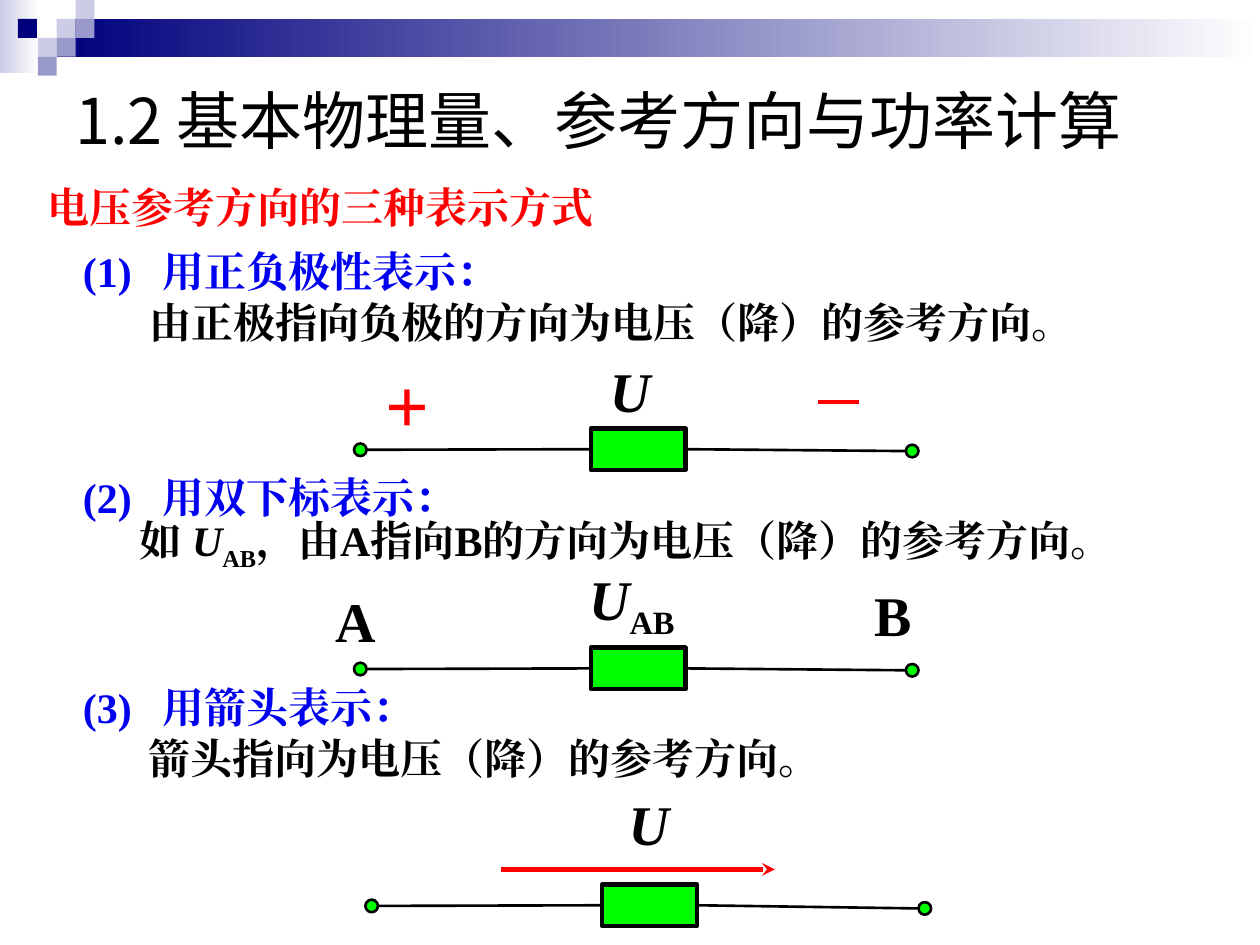
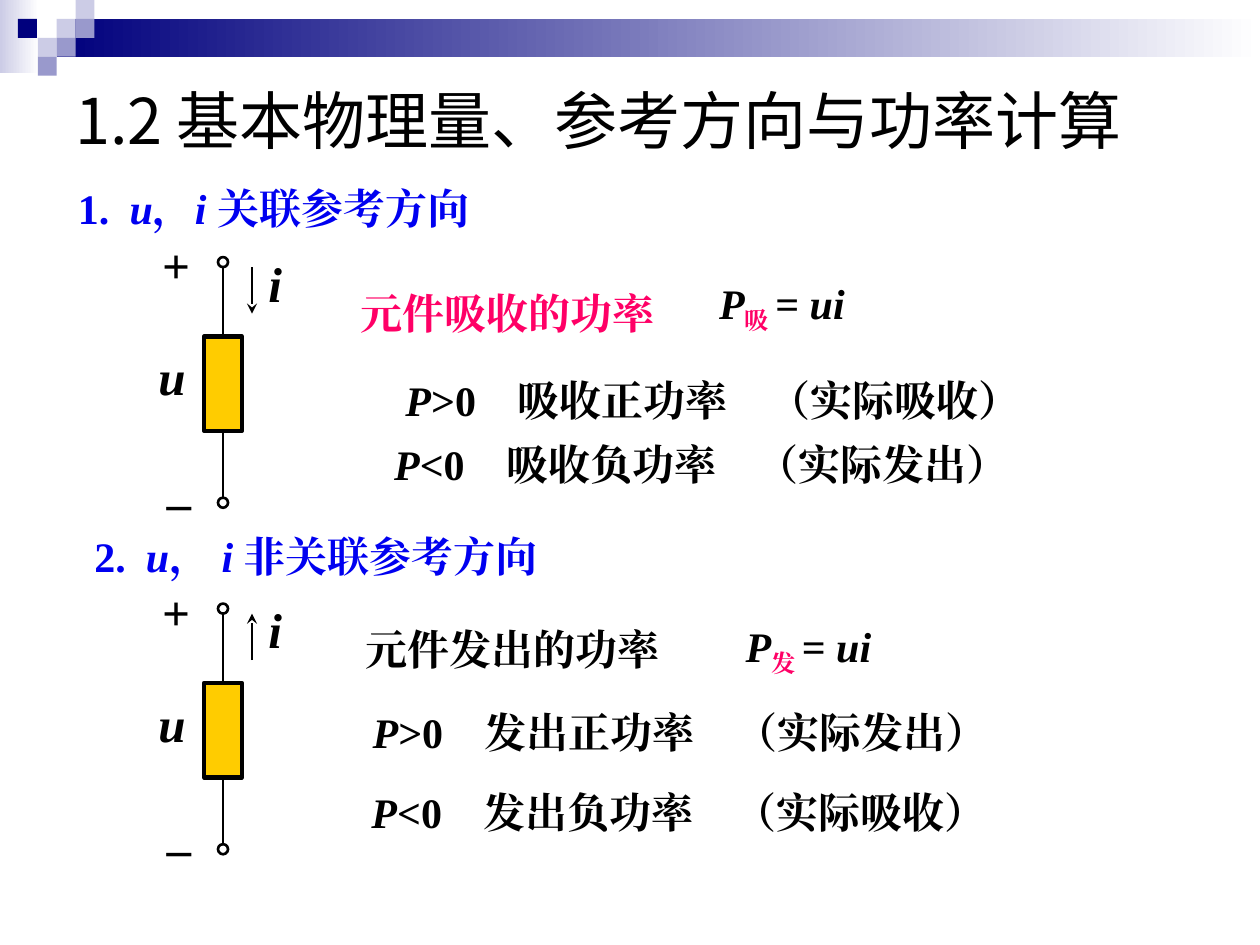
from dataclasses import dataclass

from lxml.etree import SubElement
from pptx import Presentation
from pptx.dml.color import RGBColor
from pptx.enum.shapes import MSO_CONNECTOR as Connector, MSO_SHAPE as Preset
from pptx.enum.text import MSO_ANCHOR as Anchor, PP_ALIGN as Align
from pptx.oxml.ns import qn
from pptx.util import Inches, Pt

TITLE = "1.2 基本物理量、参考方向与功率计算"
TITLE_FONT, BODY_FONT = "Noto Sans CJK SC", "Times New Roman"
NAVY, PALE, LILAC, WHITE = "00007D", "CCCCE6", "9999CC", "FFFFFF"
BLACK, RED, BLUE, PINK = "000000", "FF0000", "0000F0", "FF0066"
GREEN, AMBER = "00FF00", "FFCC00"
SQUARE = 0.15


@dataclass(frozen=True)
class Span:
    text: str
    italic: bool = False
    sub: bool = False
    color: str | None = None


@dataclass(frozen=True)
class Line:
    spans: tuple[Span, ...]
    color: str = BLACK
    indent: float = 0
    tabs: tuple[float, ...] = ()


@dataclass(frozen=True)
class Label:
    left: float
    top: float
    width: float
    height: float
    lines: tuple[Line, ...]
    size: float = 24
    centred: bool = False
    rotation: float = 0
    font: str = BODY_FONT
    bold: bool = True


@dataclass(frozen=True)
class Circuit:
    left: float
    top: float
    start_dot: tuple[float, float]
    end_dot: tuple[float, float]


@dataclass(frozen=True)
class Power:
    top: float
    left: float
    sign: str
    verb: str
    actual: str


def rgb(color: str) -> RGBColor:
    return RGBColor.from_string(color)


def add_preset(page, preset, left: float, top: float, width: float, height: float,
               fill: str, fade: str | None = None, outline: float = 0):
    shape = page.shapes.add_shape(preset, Inches(left), Inches(top), Inches(width), Inches(height))
    shape.shadow.inherit = False
    if fade:
        shape.fill.gradient()
        shape.fill.gradient_angle = 0
        for stop, color in zip(shape.fill.gradient_stops, (fill, fade)):
            stop.color.rgb = rgb(color)
    else:
        shape.fill.solid()
        shape.fill.fore_color.rgb = rgb(fill)
    if outline:
        shape.line.color.rgb = rgb(BLACK)
        shape.line.width = Pt(outline)
    else:
        shape.line.fill.background()
    return shape


def add_line(page, start: tuple[float, float], end: tuple[float, float],
             color: str = BLACK, weight: float = 1.5, arrow: bool = False):
    line = page.shapes.add_connector(Connector.STRAIGHT, *map(Inches, start + end))
    line.line.color.rgb = rgb(color)
    line.line.width = Pt(weight)
    if arrow:
        SubElement(line.line._get_or_add_ln(), qn("a:tailEnd"), type="stealth")
    SubElement(line._element.spPr, qn("a:effectLst"))
    return line


def add_label(page, label: Label) -> None:
    box = page.shapes.add_textbox(Inches(label.left), Inches(label.top),
                                  Inches(label.width), Inches(label.height))
    box.rotation = label.rotation
    frame = box.text_frame
    frame.word_wrap = True
    frame.vertical_anchor = Anchor.MIDDLE
    for index, line in enumerate(label.lines):
        para = frame.add_paragraph() if index else frame.paragraphs[0]
        para.alignment = Align.CENTER if label.centred else Align.LEFT
        if len(label.lines) > 1:
            para.line_spacing = Pt(label.size * 1.2)
        properties = para._p.get_or_add_pPr()
        properties.set("marL", str(Inches(line.indent)))
        if line.tabs:
            stops = SubElement(properties, qn("a:tabLst"))
            for tab in line.tabs:
                SubElement(stops, qn("a:tab"), pos=str(Inches(tab)), algn="l")
        for span in line.spans:
            run = para.add_run()
            run.text = span.text
            run.font.size = Pt(label.size)
            run.font.bold = label.bold
            run.font.italic = span.italic
            run.font.color.rgb = rgb(span.color or line.color)
            run.font.name = label.font
            run_properties = run._r.get_or_add_rPr()
            SubElement(run_properties, qn("a:ea"), typeface=label.font)
            if span.sub:
                run_properties.set("baseline", "-25000")


def add_symbol(page, left: float, top: float, width: float, height: float, *spans: Span,
               size: float = 32, color: str = BLACK, rotation: float = 0) -> None:
    add_label(page, Label(left, top, width, height, (Line(spans, color),), size, True, rotation))


def add_page(deck):
    page = deck.slides.add_slide(deck.slide_layouts[6])
    add_preset(page, Preset.RECTANGLE, 0, 0, 0.31, 0.58, PALE, WHITE)
    add_preset(page, Preset.RECTANGLE, 0.45, 0.15, 9.55, 0.3, NAVY, WHITE)
    for column, row, color in ((3, 1, PALE), (4, 0, PALE), (4, 1, LILAC), (2, 2, PALE),
                               (0.95, 1, NAVY), (3, 2, LILAC), (2, 3, LILAC)):
        add_preset(page, Preset.RECTANGLE, column * SQUARE, row * SQUARE, SQUARE, SQUARE, color)
    add_label(page, Label(0.5, 0.5, 9, 0.89, (Line((Span(TITLE),)),), 36,
                          font=TITLE_FONT, bold=False))
    return page


def add_circuit(page, circuit: Circuit) -> None:
    resistor = add_preset(page, Preset.RECTANGLE, circuit.left, circuit.top, 0.75, 0.33,
                          GREEN, outline=2.5)
    for site, (left, top), reach in ((1, circuit.start_dot, 0.1), (3, circuit.end_dot, 0)):
        end = (left + reach, top + 0.05)
        wire = add_line(page, end, end)
        wire.begin_connect(resistor, site)
        add_preset(page, Preset.OVAL, left, top, 0.1, 0.1, GREEN, outline=1.5)


def add_element(page, top: float, current_down: bool) -> None:
    resistor = add_preset(page, Preset.RECTANGLE, 1.62, top + 0.63, 0.3, 0.75, AMBER, outline=2.5)
    for site, dot_top, wire_end in ((0, top, top + 0.08), (2, top + 1.91, top + 1.91)):
        wire = add_line(page, (1.77, wire_end), (1.77, wire_end))
        wire.begin_connect(resistor, site)
        add_preset(page, Preset.OVAL, 1.73, dot_top, 0.08, 0.08, WHITE, outline=1.5)
    ends = [(2, top + 0.08), (2, top + 0.45)]
    start, end = ends if current_down else reversed(ends)
    add_line(page, start, end, arrow=True)
    add_symbol(page, 1.18, top - 0.2, 0.49, 0.57, Span("+"), size=28, rotation=90)
    add_symbol(page, 1.12, top + 1.65, 0.6, 0.57, Span("–"), size=28)
    add_symbol(page, 1.92, top - 0.08, 0.53, 0.57, Span("i", True), size=28)
    add_symbol(page, 1.02, top + 0.66, 0.69, 0.57, Span("u", True), size=28)


def build_voltage_page(deck) -> None:
    page = add_page(deck)
    heading = Line((Span("电压参考方向的三种表示方式"),), RED)
    add_label(page, Label(0.28, 1.39, 4.72, 0.5, (heading,)))
    methods = (
        (1.9, "(1)", "用正负极性表示：", 0.53,
         (Span("由正极指向负极的方向为电压（降）的参考方向。"),)),
        (3.69, "(2)", "用双下标表示：", 0.45,
         (Span("如 "), Span("U", True), Span("AB", sub=True),
          Span("，由A指向B的方向为电压（降）的参考方向。"))),
        (5.36, "(3)", "用箭头表示：", 0.52, (Span("箭头指向为电压（降）的参考方向。"),)),
    )
    for top, number, name, indent, rule in methods:
        method = Line((Span(f"{number}\t{name}"),), BLUE, tabs=(0.63,))
        add_label(page, Label(0.56, top, 9.05, 0.9, (method, Line(rule, indent=indent))))

    add_line(page, (3.98, 6.9), (6.15, 6.9), RED, 2.5, arrow=True)
    add_line(page, (6.49, 3.19), (6.82, 3.19), RED, 2.5)
    add_symbol(page, 2.96, 2.78, 0.55, 0.83, Span("+"), size=44, color=RED)
    voltage = Span("U", True)
    add_symbol(page, 4.74, 2.78, 0.52, 0.63, voltage)
    add_symbol(page, 4.89, 6.22, 0.52, 0.63, voltage)
    add_symbol(page, 4.55, 4.47, 0.93, 0.63, voltage, Span("AB", sub=True))
    add_symbol(page, 2.56, 4.61, 0.52, 0.63, Span("A"))
    add_symbol(page, 6.84, 4.56, 0.5, 0.63, Span("B"))
    for circuit in (Circuit(4.69, 3.4, (2.81, 3.52), (7.19, 3.53)),
                    Circuit(4.69, 5.14, (2.81, 5.26), (7.19, 5.27)),
                    Circuit(4.78, 7.02, (2.9, 7.14), (7.29, 7.16))):
        add_circuit(page, circuit)


def build_power_page(deck) -> None:
    page = add_page(deck)
    headings = ((0.52, 1.4, "1.", "，", "关联参考方向"), (0.65, 4.16, "2.", "， ", "非关联参考方向"))
    for left, top, number, comma, name in headings:
        spans = (Span(f"{number}\t"), Span("u", True), Span(comma), Span("i ", True), Span(name))
        add_label(page, Label(left, top, 4.17, 0.5, (Line(spans, BLUE, tabs=(0.41,)),)))
    formulas = ((2.76, 2.23, "元件吸收的功率", PINK, 5.61, 2.18, "吸 "),
                (2.8, 4.9, "元件发出的功率", BLACK, 5.82, 4.9, "发 "))
    for left, top, name, color, formula_left, formula_top, mark in formulas:
        add_label(page, Label(left, top, 2.71, 0.5, (Line((Span(name),), color),)))
        formula = (Span("P", True), Span(mark, sub=True, color=PINK), Span("= "), Span("ui", True))
        add_label(page, Label(formula_left, formula_top, 1.7, 0.5, (Line(formula),)))
    for power in (Power(2.92, 3.12, ">", "吸收正功率", "实际吸收"),
                  Power(3.43, 3.03, "<", "吸收负功率", "实际发出"),
                  Power(5.56, 2.86, ">", "发出正功率", "实际发出"),
                  Power(6.19, 2.85, "<", "发出负功率", "实际吸收")):
        spans = (Span("P", True), Span(f"{power.sign}0\t{power.verb}\t（{power.actual}）"))
        add_label(page, Label(power.left, power.top, 5.8, 0.5,
                              (Line(spans, tabs=(0.89, 2.88)),)))
    add_element(page, 2.04, True)
    add_element(page, 4.79, False)


def main() -> None:
    deck = Presentation()
    deck.slide_width, deck.slide_height = Inches(10), Inches(7.5)
    build_voltage_page(deck)
    build_power_page(deck)
    deck.save("out.pptx")


if __name__ == "__main__":
    main()
